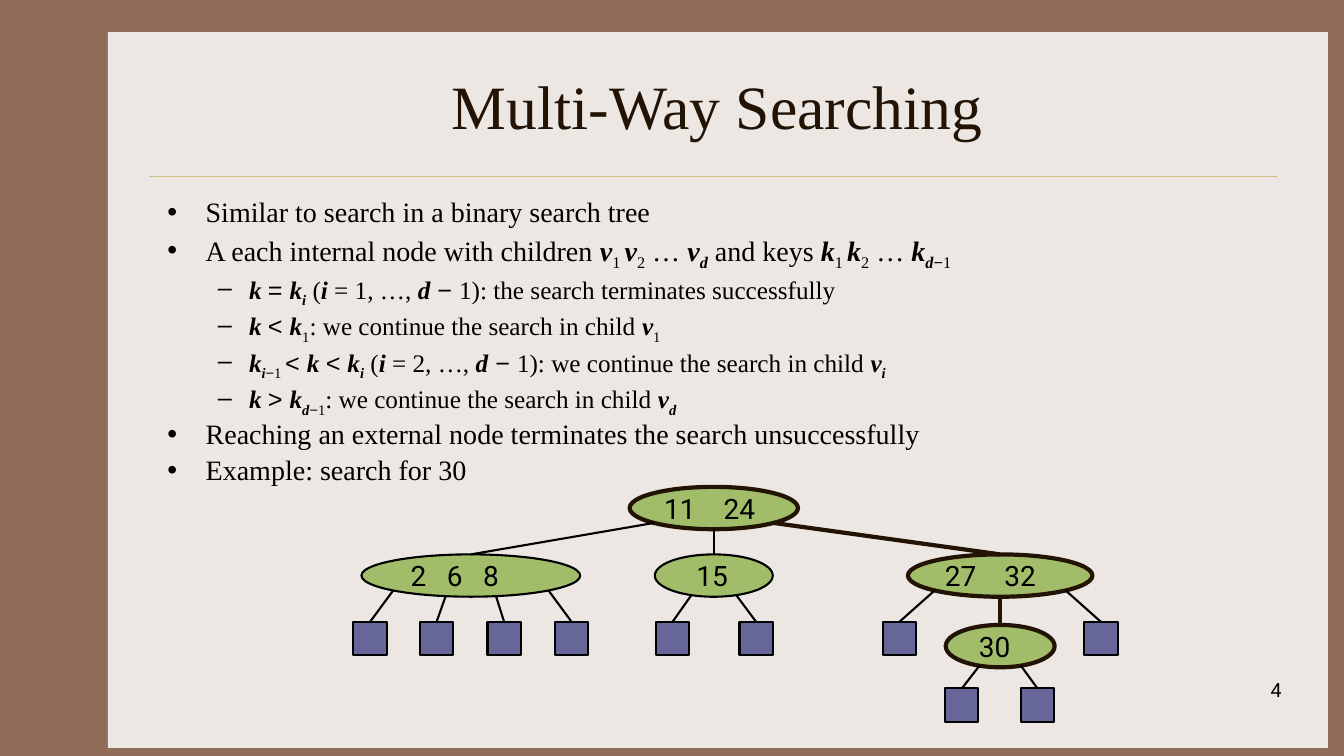
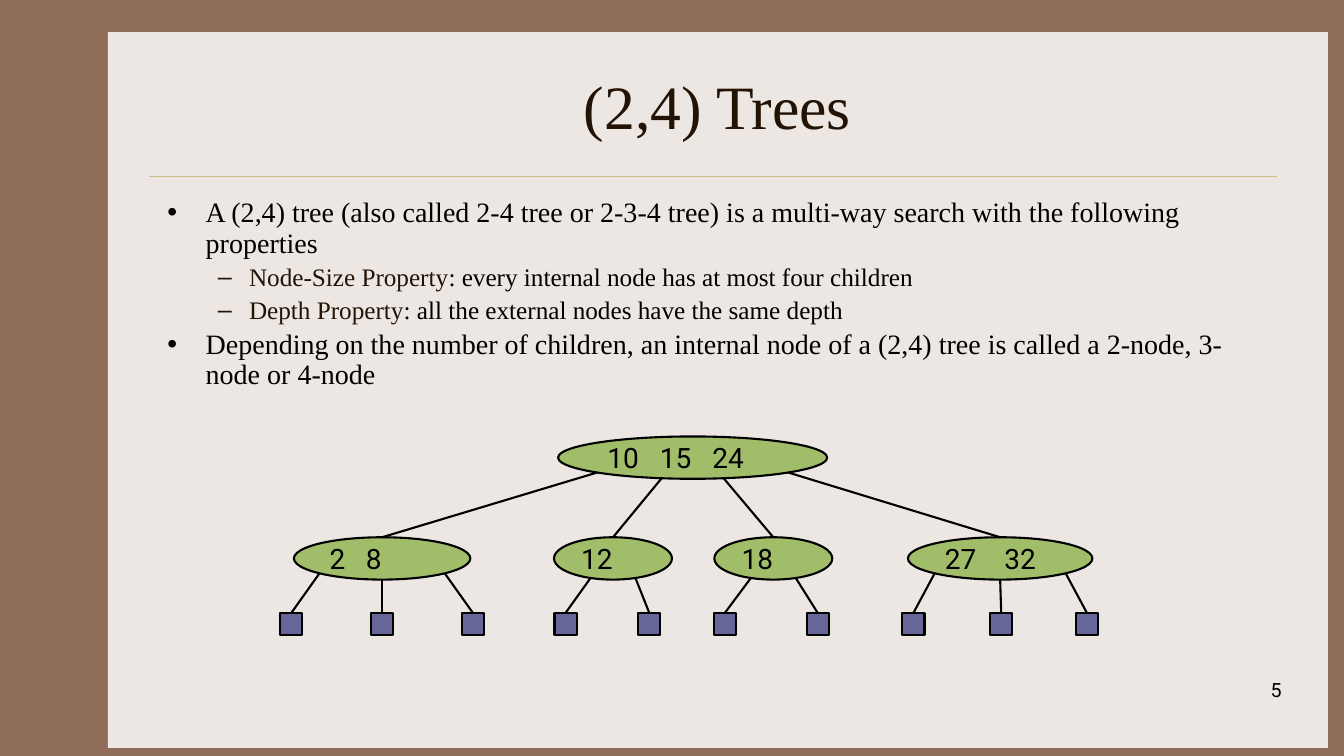
"""Build two slides on multi-way search trees and (2,4) trees."""
from dataclasses import dataclass
from math import sqrt

from lxml import etree
from pptx import Presentation
from pptx.dml.color import RGBColor
from pptx.enum import shapes, text
from pptx.oxml import ns
from pptx.util import Inches, Pt

BROWN = RGBColor(0x90, 0x6D, 0x58)
CREAM = RGBColor(0xED, 0xE7, 0xE3)
GOLD = RGBColor(0xCB, 0xBD, 0x83)
DARK = RGBColor(0x22, 0x13, 0x04)
BLACK = RGBColor(0, 0, 0)
GREEN = RGBColor(0xA1, 0xBD, 0x69)
VIOLET = RGBColor(0x66, 0x66, 0x99)
SERIF, SANS, SYMBOL = "Times New Roman", "Roboto", "Arial"

TITLE_FONT = {"name": SERIF, "size": Pt(44)}
LEVEL_SIZES = (Pt(20), Pt(18))
LEVEL_INDENTS = ((0.38, -0.38), (0.81, -0.31))
KEY_FONT = {"name": SANS, "size": Pt(20)}
NUMBER_FONT = {"name": SANS, "size": Pt(14)}

VAR = {"bold": True, "italic": True}
SUB = {"subscript": True}
VAR_SUB = {**VAR, **SUB}
SIGN = {"name": SYMBOL}
SIGN_SUB = {**SIGN, **SUB}
TERM = {"color": DARK}

K, D = ("k ", VAR), ("d", VAR)
K_1 = [("k", VAR), ("1", SUB)]
K_I = [("k", VAR), ("i", VAR_SUB)]
K_LAST = [("k", VAR), ("d", VAR_SUB), ("−", SIGN_SUB), ("1", SUB)]
V_1 = [("v", VAR), ("1", SUB)]
V_D = [("v", VAR), ("d", VAR_SUB)]
MINUS, LESS = (" − ", SIGN), ("< ", SIGN)
CONTINUE = "we continue the search in child "

NODE_HEIGHT = 0.42
EXITS = {2: (-0.38, 0.38), 3: (-0.71, 0, 0.71), 4: (-0.71, -0.23, 0.23, 0.71)}


@dataclass
class Node:
    """A tree node; plain numbers among its children are leaf centres."""
    keys: str
    center: float
    width: float
    children: tuple
    key_step: float = 0.59
    key_indent: float = 0
    visited: bool = False


SLIDES = [
    {
        "title": "Multi-Way Searching",
        "number": "4",
        "body": [
            (0, ["Similar to search in a binary search tree"]),
            (0, ["A each internal node with children ", ("v", VAR), ("1 ", SUB), ("v", VAR),
                 ("2", SUB), " … ", *V_D, " and keys ", ("k", VAR), ("1 ", SUB), ("k", VAR),
                 ("2", SUB), " … ", *K_LAST]),
            (1, [K, ("= ", SIGN), *K_I, " (", ("i", VAR), " = 1, …, ", D, MINUS,
                 "1): the search terminates successfully"]),
            (1, [K, LESS, *K_1, ": " + CONTINUE, *V_1]),
            (1, [("k", VAR), ("i", VAR_SUB), ("−", SIGN_SUB), ("1 ", SUB), LESS, K, LESS, *K_I,
                 " (", ("i", VAR), " = 2, …, ", D, MINUS, "1): " + CONTINUE,
                 ("v", VAR), ("i", VAR_SUB)]),
            (1, [K, ("> ", SIGN), *K_LAST, ": " + CONTINUE, *V_D]),
            (0, ["Reaching an external node terminates the search unsuccessfully"]),
            (0, ["Example: search for 30"]),
        ],
        "node_tops": (4.83, 5.5, 6.2),
        "leaf_tops": (None, None, 6.17, 6.83),
        "leaf_size": 0.33,
        "root": Node("11 24", 7.08, 1.67, visited=True, children=(
            Node("2 6 8", 4.67, 2.17, (3.67, 4.33, 5, 5.67), key_step=0.36, key_indent=0.07),
            Node("15", 7.08, 1.17, (6.67, 7.5), key_indent=0.14),
            Node("27 32", 9.92, 1.83, visited=True, children=(
                8.92,
                Node("30", 9.92, 1.08, (9.54, 10.29), key_indent=0.07, visited=True),
                10.92)))),
    },
    {
        "title": "(2,4) Trees",
        "number": "5",
        "body": [
            (0, ["A (2,4) tree (also called 2-4 tree or 2-3-4 tree) is a multi-way search "
                 "with the following properties"]),
            (1, [("Node-Size Property", TERM), ": every internal node has at most four children"]),
            (1, [("Depth Property", TERM), ": all the external nodes have the same depth"]),
            (0, ["Depending on the number of children, an internal node of a (2,4) tree is "
                 "called a 2-node, 3-node or 4-node"]),
        ],
        "node_tops": (4.33, 5.33),
        "leaf_tops": (None, None, 6.08),
        "leaf_size": 0.22,
        "root": Node("10 15 24", 6.87, 2.67, key_step=0.52, children=(
            Node("2 8", 3.79, 1.75, (2.89, 3.79, 4.69), key_step=0.36),
            Node("12", 6.08, 1.17, (5.61, 6.44)),
            Node("18", 7.67, 1.17, (7.19, 8.11)),
            Node("27 32", 9.92, 1.83, (9.06, 9.93, 10.78)))),
    },
]


def set_all(target, values):
    for name, value in values.items():
        setattr(target, name, value)


def add_run(paragraph, words, font, color=BLACK):
    run = paragraph.add_run()
    run.text = words
    style = dict(font)
    run.font.color.rgb = style.pop("color", color)
    if style.pop("subscript", False):
        run._r.get_or_add_rPr().set("baseline", "-25000")
    set_all(run.font, style)


def place(shape, left, top, width, height):
    set_all(shape, {"left": Inches(left), "top": Inches(top),
                    "width": Inches(width), "height": Inches(height)})


def add_filled(slide, kind, box, fill, line=None, weight=1.5):
    shape = slide.shapes.add_shape(kind, *map(Inches, box))
    shape.shadow.inherit = False
    shape.fill.solid()
    shape.fill.fore_color.rgb = fill
    if line is None:
        shape.line.fill.background()
    else:
        shape.line.color.rgb = line
        shape.line.width = Pt(weight)
    return shape


def add_line(slide, start, end, color, weight):
    line = slide.shapes.add_connector(
        shapes.MSO_CONNECTOR.STRAIGHT, *map(Inches, (*start, *end)))
    line.line.color.rgb = color
    line.line.width = Pt(weight)
    etree.SubElement(line.element.spPr, ns.qn("a:effectLst"))
    return line


def format_master(presentation, layout):
    master = presentation.slide_master
    master.background.fill.solid()
    master.background.fill.fore_color.rgb = BROWN
    place(layout.placeholders[0], 1.56, 0.42, 11.11, 1.25)
    place(layout.placeholders[1], 1.56, 1.92, 11.11, 4.5)


def move_to_master(presentation, decorations):
    for offset, shape in enumerate(decorations):
        shape.element.xpath("./*/p:cNvPr")[0].set("id", str(100 + offset))
        presentation.slide_master.shapes.element.insert(2 + offset, shape.element)


def fill_body(frame, lines):
    set_all(frame, {"word_wrap": True, "auto_size": text.MSO_AUTO_SIZE.NONE})
    for index, (level, runs) in enumerate(lines):
        paragraph = frame.add_paragraph() if index else frame.paragraphs[0]
        size = LEVEL_SIZES[level]
        set_all(paragraph, {"level": level, "line_spacing": 0.9,
                            "space_before": Pt(4) if index else Pt(0)})
        properties = paragraph._p.get_or_add_pPr()
        for name, inches in zip(("marL", "indent"), LEVEL_INDENTS[level]):
            properties.set(name, str(Inches(inches)))
        for item in runs:
            words, style = (item, {}) if isinstance(item, str) else item
            add_run(paragraph, words, {"name": SERIF, "size": size, **style})


def write_keys(shape, node):
    frame = shape.text_frame
    set_all(frame, {"word_wrap": True, "vertical_anchor": text.MSO_ANCHOR.MIDDLE,
                    "margin_left": Inches(0.1 + node.key_indent)})
    paragraph = frame.paragraphs[0]
    paragraph.alignment = text.PP_ALIGN.LEFT
    keys = node.keys.split()
    if len(keys) > 1:
        tabs = etree.SubElement(paragraph._p.get_or_add_pPr(), ns.qn("a:tabLst"))
        for stop in range(1, len(keys)):
            etree.SubElement(tabs, ns.qn("a:tab"), algn="l",
                             pos=str(Inches(stop * node.key_step)))
    add_run(paragraph, "\t".join(keys), KEY_FONT)


def add_tree(slide, tree, node, depth=0):
    if not isinstance(node, Node):
        size = tree["leaf_size"]
        box = (node - size / 2, tree["leaf_tops"][depth], size, size)
        return add_filled(slide, shapes.MSO_SHAPE.RECTANGLE, box, VIOLET, BLACK)
    top = tree["node_tops"][depth]
    box = (node.center - node.width / 2, top, node.width, NODE_HEIGHT)
    outline = (DARK, 3) if node.visited else (BLACK, 1.5)
    ellipse = add_filled(slide, shapes.MSO_SHAPE.OVAL, box, GREEN, *outline)
    write_keys(ellipse, node)
    for child, exit_share in zip(node.children, EXITS[len(node.children)]):
        child_shape = add_tree(slide, tree, child, depth + 1)
        start = (node.center + exit_share * node.width / 2,
                 top + NODE_HEIGHT / 2 * (1 + sqrt(1 - exit_share ** 2)))
        on_search = isinstance(child, Node) and child.visited
        link = add_line(slide, start, start, *((DARK, 3) if on_search else (BLACK, 1.5)))
        link.end_connect(child_shape, 0)
    return ellipse


def add_slide(presentation, layout, content):
    slide = presentation.slides.add_slide(layout)
    title, body = slide.placeholders
    title.text_frame.vertical_anchor = text.MSO_ANCHOR.MIDDLE
    title.text_frame.paragraphs[0].alignment = text.PP_ALIGN.CENTER
    add_run(title.text_frame.paragraphs[0], content["title"], TITLE_FONT, DARK)
    fill_body(body.text_frame, content["body"])
    number = slide.shapes.add_textbox(*map(Inches, (10.03, 6.68, 2.78, 0.5)))
    number.text_frame.word_wrap = True
    number.text_frame.paragraphs[0].alignment = text.PP_ALIGN.RIGHT
    add_run(number.text_frame.paragraphs[0], content["number"], NUMBER_FONT)
    add_tree(slide, content, content["root"])
    return slide


def main():
    presentation = Presentation()
    set_all(presentation, {"slide_width": Inches(13.33), "slide_height": Inches(7.5)})
    layout = presentation.slide_layouts[1]
    format_master(presentation, layout)
    for content in SLIDES:
        slide = add_slide(presentation, layout, content)
    panel = add_filled(slide, shapes.MSO_SHAPE.RECTANGLE, (1.07, 0.32, 12.1, 7.1), CREAM)
    rule = add_line(slide, (1.48, 1.75), (12.67, 1.75), GOLD, 0.25)
    move_to_master(presentation, (panel, rule))
    presentation.save("out.pptx")


if __name__ == "__main__":
    main()
